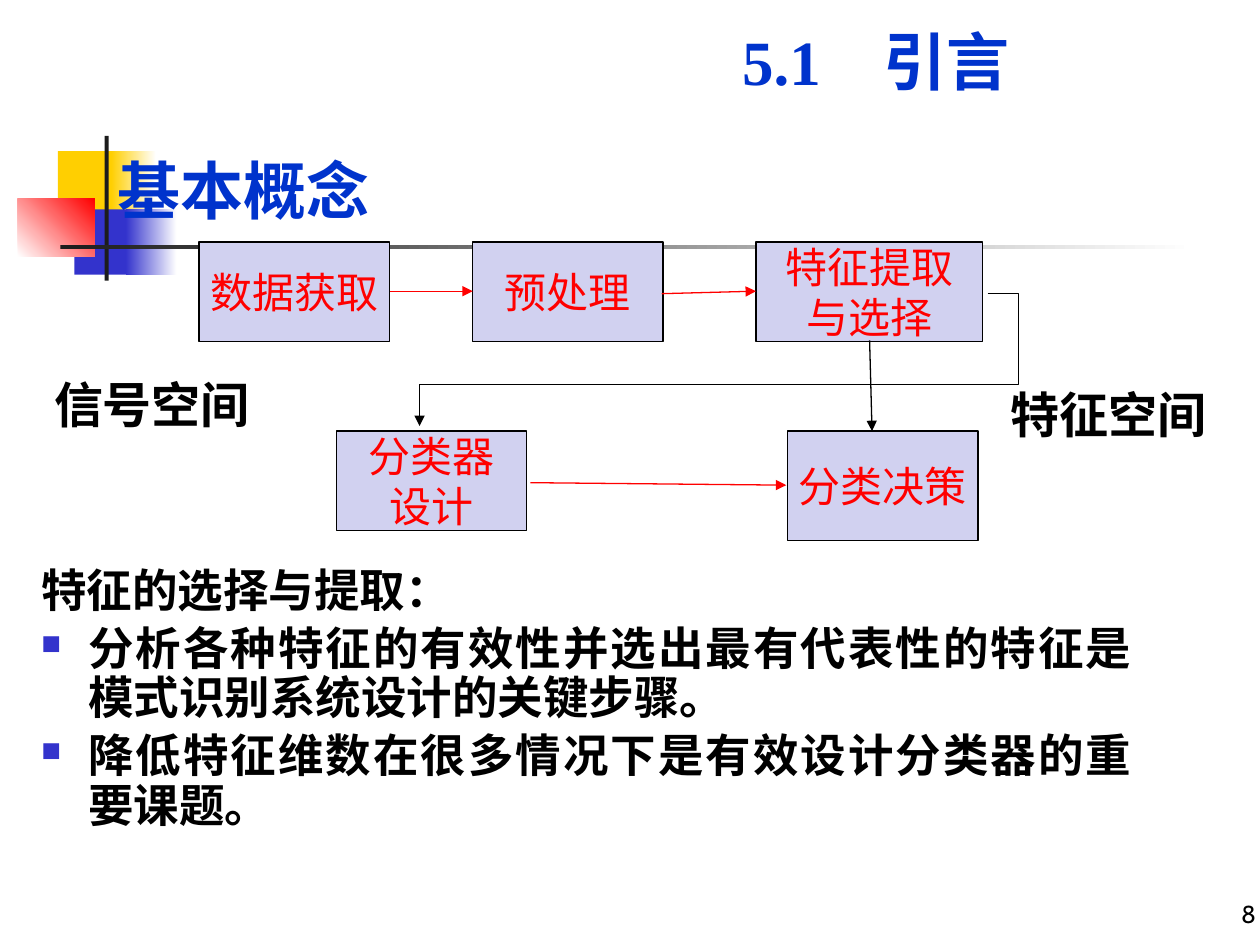
from lxml import etree
from pptx import Presentation
from pptx.dml.color import RGBColor
from pptx.enum.shapes import MSO_CONNECTOR, MSO_SHAPE
from pptx.enum.text import MSO_ANCHOR, MSO_AUTO_SIZE, PP_ALIGN
from pptx.oxml.ns import qn
from pptx.util import Cm, Pt

RECTANGLE = MSO_SHAPE.RECTANGLE
STRAIGHT, ELBOW = MSO_CONNECTOR.STRAIGHT, MSO_CONNECTOR.ELBOW
CENTER, JUSTIFY, RIGHT = PP_ALIGN.CENTER, PP_ALIGN.JUSTIFY, PP_ALIGN.RIGHT
MIDDLE, BOTTOM = MSO_ANCHOR.MIDDLE, MSO_ANCHOR.BOTTOM
GROW = MSO_AUTO_SIZE.SHAPE_TO_FIT_TEXT

BLACK = RGBColor(0x00, 0x00, 0x00)
WHITE = RGBColor(0xFF, 0xFF, 0xFF)
RED = RGBColor(0xFF, 0x00, 0x00)
YELLOW = RGBColor(0xFF, 0xCF, 0x01)
INDIGO = RGBColor(0x33, 0x33, 0xCC)
CHARCOAL = RGBColor(0x1C, 0x1C, 0x1C)
LAVENDER = RGBColor(0xD1, 0xD1, 0xF0)
TITLE_BLUE = RGBColor(0x00, 0x33, 0xCC)

SERIF, SANS, NUMBER_FONT = "Times New Roman", "Calibri", "Cabin"


def set_font(para, name, size, color, bold=False):
    font = para.font
    font.name, font.size, font.bold = name, Pt(size), bold
    font.color.rgb = color


def add_rectangle(page, left, top, width, height):
    box = page.shapes.add_shape(RECTANGLE, Cm(left), Cm(top), Cm(width), Cm(height))
    box.shadow.inherit = False
    return box


def add_label(page, left, top, width, height, text, name, size, color, bold=True):
    label = page.shapes.add_textbox(Cm(left), Cm(top), Cm(width), Cm(height))
    frame = label.text_frame
    frame.word_wrap = True
    frame.text = text
    set_font(frame.paragraphs[0], name, size, color, bold)
    return frame


def add_ornament(page, left, top):
    """Overlapping squares and crossed bars; a second colour makes a gradient."""
    parts = [
        (0.81, 0.31, 1.22, 1.32, YELLOW, None, 0),
        (1.88, 0.31, 0.91, 1.32, YELLOW, WHITE, 0),
        (1.14, 1.48, 1.17, 1.32, INDIGO, None, 0),
        (2.18, 1.48, 1.02, 1.32, INDIGO, WHITE, 0),
        (0, 1.27, 1.55, 1.17, WHITE, RED, 45),
        (1.75, 0, 0.08, 2.92, CHARCOAL, None, 0),
        (0.86, 2.2, 22.86, 0.09, CHARCOAL, WHITE, 0),
    ]
    for x, y, width, height, start, end, angle in parts:
        part = add_rectangle(page, left + x, top + y, width, height)
        part.line.fill.background()
        if end is None:
            part.fill.solid()
            part.fill.fore_color.rgb = start
        else:
            part.fill.gradient()
            part.fill.gradient_angle = angle
            for stop, color in zip(part.fill.gradient_stops, (start, end)):
                stop.color.rgb = color


def add_step(page, left, top, width, height, text):
    step = add_rectangle(page, left, top, width, height)
    step.fill.solid()
    step.fill.fore_color.rgb = LAVENDER
    step.line.color.rgb = BLACK
    step.line.width = Pt(0.75)
    frame = step.text_frame
    frame.word_wrap = False
    frame.vertical_anchor = MIDDLE
    frame.text = text
    para = frame.paragraphs[0]
    para.alignment = CENTER
    set_font(para, SERIF, 24, RED)


def add_arrow(page, kind, start, end, color):
    arrow = page.shapes.add_connector(kind, *map(Cm, start + end))
    arrow.line.color.rgb = color
    arrow.line.width = Pt(0.75)
    etree.SubElement(arrow.line._get_or_add_ln(), qn("a:tailEnd"), type="triangle")
    properties = arrow._element.spPr
    etree.SubElement(properties, qn("a:effectLst"))
    return properties


def add_detour(page, start, end):
    """Elbow that steps out past its start before it turns back."""
    geometry = add_arrow(page, ELBOW, start, end, BLACK).find(qn("a:prstGeom"))
    geometry.set("prst", "bentConnector4")
    guides = geometry.find(qn("a:avLst"))
    if guides is None:
        guides = etree.SubElement(geometry, qn("a:avLst"))
    for name, value in (("adj1", -5500), ("adj2", 68800)):
        etree.SubElement(guides, qn("a:gd"), name=name, fmla=f"val {value}")


def add_flowchart(page, left, top):
    width, height, second_row = 3.84, 2.01, 3.81
    steps = [
        (0, 0, width, height, "数据获取"),
        (5.52, 0, width, height, "预处理"),
        (11.23, 0, 4.57, height, "特征提取\v与选择"),
        (11.87, second_row, width, 2.21, "分类决策"),
        (2.77, second_row, width, height, "分类器\v设计"),
    ]
    for x, y, step_width, step_height, text in steps:
        add_step(page, left + x, top + y, step_width, step_height, text)

    def at(x, y):
        return left + x, top + y

    arrows = [
        (at(9.33, 1.04), at(11.23, 0.99), RED),
        (at(3.86, 0.99), at(5.52, 0.99), RED),
        (at(6.68, 4.85), at(11.84, 4.9), RED),
        (at(13.52, 1.98), at(13.57, second_row), BLACK),
    ]
    for start, end, color in arrows:
        add_arrow(page, STRAIGHT, start, end, color)
    add_detour(page, at(15.9, 1.04), at(4.45, 3.71))


def add_bullet(properties):
    color = etree.SubElement(properties, qn("a:buClr"))
    etree.SubElement(color, qn("a:srgbClr"), val=str(INDIGO))
    etree.SubElement(properties, qn("a:buSzPct"), val="60000")
    etree.SubElement(properties, qn("a:buChar"), char="■")


def add_body(page, left, top, width, height):
    lines = [
        "特征的选择与提取：",
        "分析各种特征的有效性并选出最有代表性的特征是模式识别系统设计的关键步骤。",
        "降低特征维数在很多情况下是有效设计分类器的重要课题。",
    ]
    frame = add_label(page, left, top, width, height, "\n".join(lines), SERIF, 26, BLACK)
    for number, para in enumerate(frame.paragraphs):
        properties = para._p.get_or_add_pPr()
        properties.set("marL", str(Cm(0.95)))
        properties.set("indent", str(Cm(-0.95)))
        if number:
            add_bullet(properties)
            para.alignment = JUSTIFY
            para.space_before = Pt(5.2)
        para.line_spacing = 0.9
        set_font(para, SERIF, 26, BLACK, True)


def add_page_number(page, left, top, width, height):
    frame = add_label(page, left, top, width, height, "8", NUMBER_FONT, 14, BLACK, False)
    frame.vertical_anchor = BOTTOM
    frame.paragraphs[0].alignment = RIGHT


def add_headings(page):
    headings = [
        (0.84, 7.42, 4.65, 1.45, "信号空间", SANS, 28, BLACK),
        (20.12, 7.62, 5.28, 1.45, "特征空间", SANS, 28, BLACK),
        (14.71, 0.33, 12.6, 1.8, "5.1　引言", SERIF, 36, TITLE_BLUE),
        (2.11, 2.92, 7.82, 1.8, "基本概念", SERIF, 36, TITLE_BLUE),
    ]
    for heading in headings:
        add_label(page, *heading).auto_size = GROW


def main():
    deck = Presentation()
    deck.slide_width, deck.slide_height = Cm(25.4), Cm(19.05)
    page = deck.slides.add_slide(deck.slide_layouts[6])
    add_ornament(page, 0.36, 2.74)
    add_page_number(page, 20.29, 17.58, 5.28, 1.27)
    add_body(page, 0.58, 11.33, 22.5, 6.2)
    add_flowchart(page, 4.01, 4.88)
    add_headings(page)
    deck.save("out.pptx")


if __name__ == "__main__":
    main()
